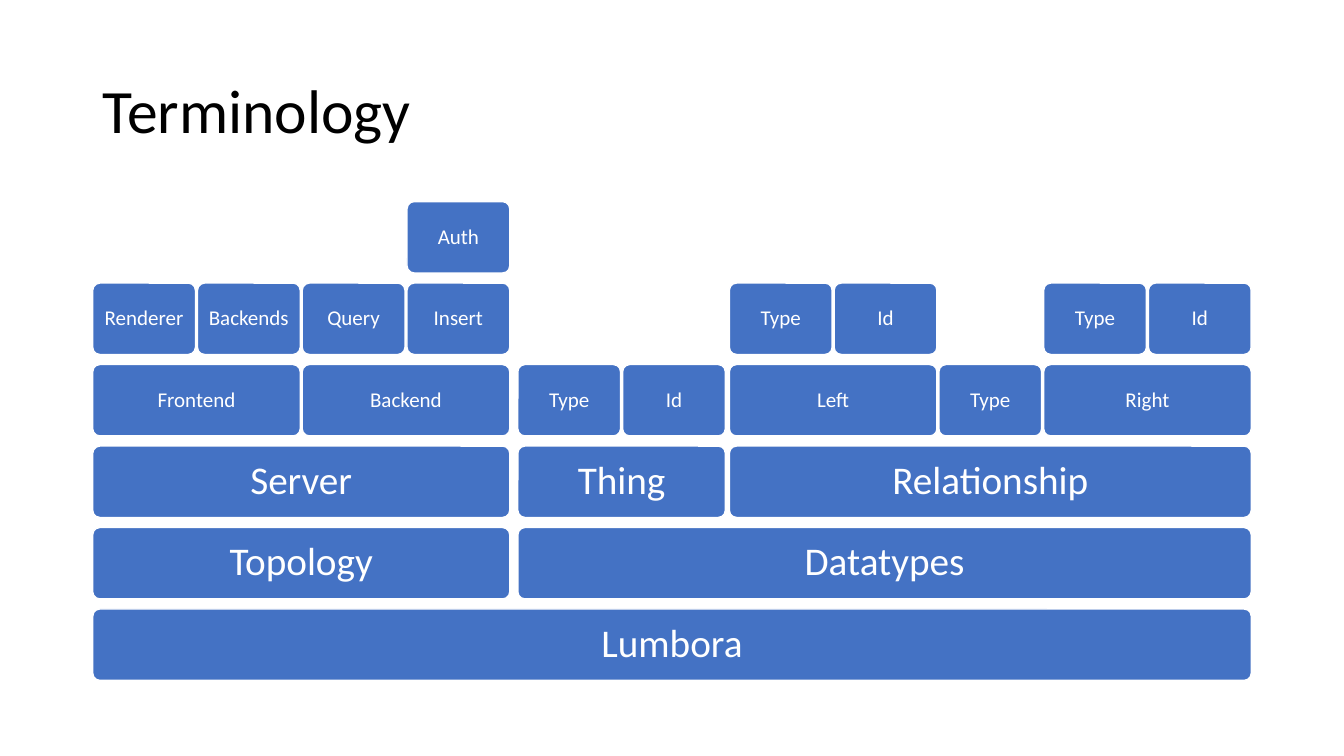
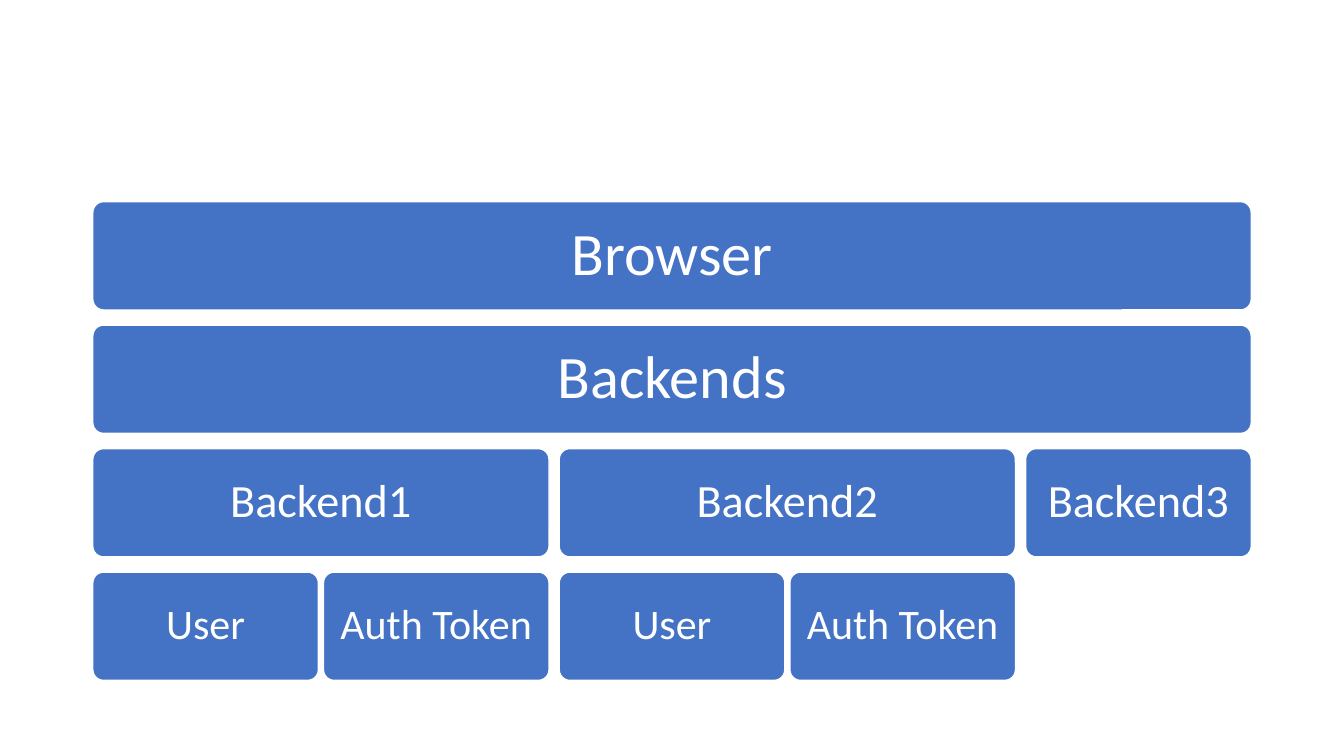
from dataclasses import dataclass
from pptx import Presentation
from pptx.dml.color import RGBColor as RGB
from pptx.enum.shapes import MSO_SHAPE as SHAPE
from pptx.enum.text import MSO_ANCHOR as ANCHOR, PP_ALIGN as ALIGN
from pptx.util import Inches, Pt

TYPE_ID = [("Type", []), ("Id", [])]
USER_TOKEN = [("User", []), ("Auth Token", [])]

TERMS = ("Lumbora", [
    ("Topology", [
        ("Server", [
            ("Frontend", [("Renderer", []), ("Backends", [])]),
            ("Backend", [("Query", []), ("Insert", [("Auth", [])])]),
        ]),
    ]),
    ("Datatypes", [
        ("Thing", TYPE_ID),
        ("Relationship", [("Left", TYPE_ID), ("Type", []), ("Right", TYPE_ID)]),
    ]),
])

LOGIN = ("Browser", [
    ("Backends", [
        ("Backend1", USER_TOKEN),
        ("Backend2", USER_TOKEN),
        ("Backend3", []),
    ]),
])

BIG, SMALL = (28, 0.12), (15, 0.06)
SLIDES = [
    ("Terminology", dict(
        tree=TERMS, upward=True, row_gap=0.1,
        gaps=[0.08, 0.04, 0.02, 0.02, 0.02, 0.02],
        levels=[BIG, BIG, BIG, SMALL, SMALL, SMALL])),
    (None, dict(
        tree=LOGIN, upward=False, row_gap=0.15,
        gaps=[0.1, 0.1, 0.05, 0.05],
        levels=[(43, 0.18), (43, 0.18), (33, 0.14), (30, 0.12)])),
]


@dataclass(frozen=True)
class Theme:
    font: str = "Calibri"
    block: RGB = RGB(0x44, 0x72, 0xC4)
    light: RGB = RGB(0xFF, 0xFF, 0xFF)
    dark: RGB = RGB(0, 0, 0)
    title_size: int = 44
    spacing: float = 0.9
    corner: float = 0.1
    title_box: tuple = (0.92, 0.4, 11.5, 1.45)
    body: tuple = (0.92, 2, 11.49, 4.75)


T = Theme()


def apply(target, **values):
    for name, value in values.items():
        setattr(target, name, value)


def write(sp, text, size, color, align, pad_x, pad_y):
    tf = sp.text_frame
    apply(tf, word_wrap=True, vertical_anchor=ANCHOR.MIDDLE,
          margin_left=Inches(pad_x), margin_right=Inches(pad_x),
          margin_top=Inches(pad_y), margin_bottom=Inches(pad_y))
    p = tf.paragraphs[0]
    apply(p, alignment=align, line_spacing=T.spacing)
    r = p.add_run()
    r.text = text
    apply(r.font, name=T.font, size=Pt(size))
    r.font.color.rgb = color


def add_title(s, text):
    sp = s.shapes.add_textbox(*map(Inches, T.title_box))
    write(sp, text, T.title_size, T.dark, ALIGN.LEFT, 0.1, 0.05)


def add_block(s, box, text, size, pad):
    sp = s.shapes.add_shape(SHAPE.ROUNDED_RECTANGLE, *map(Inches, box))
    sp.adjustments[0] = T.corner
    sp.shadow.inherit = False
    sp.fill.solid()
    sp.fill.fore_color.rgb = T.block
    sp.line.color.rgb = T.light
    sp.line.width = Pt(1)
    write(sp, text, size, T.light, ALIGN.CENTER, pad, pad)


def measure(node, gaps, depth=0):
    children = node[1]
    if not children:
        return 1, 0
    parts = [measure(child, gaps, depth + 1) for child in children]
    leaves = sum(n for n, _ in parts)
    space = sum(g for _, g in parts) + gaps[depth] * (len(children) - 1)
    return leaves, space


def add_tree(s, tree, upward, row_gap, gaps, levels):
    left, top, width, height = T.body
    rows = len(levels)
    row_h = (height - row_gap * (rows - 1)) / rows
    leaves, space = measure(tree, gaps)
    leaf_w = (width - space) / leaves

    def place(node, x, depth):
        text, children = node
        n, g = measure(node, gaps, depth)
        w = n * leaf_w + g
        row = rows - 1 - depth if upward else depth
        y = top + row * (row_h + row_gap)
        add_block(s, (x, y, w, row_h), text, *levels[depth])
        child_x = x
        for child in children:
            child_x += place(child, child_x, depth + 1) + gaps[depth]
        return w

    place(tree, left, 0)


prs = Presentation()
apply(prs, slide_width=Inches(13.33), slide_height=Inches(7.5))
for title, diagram in SLIDES:
    s = prs.slides.add_slide(prs.slide_layouts[6])
    if title:
        add_title(s, title)
    add_tree(s, **diagram)
prs.save("out.pptx")
